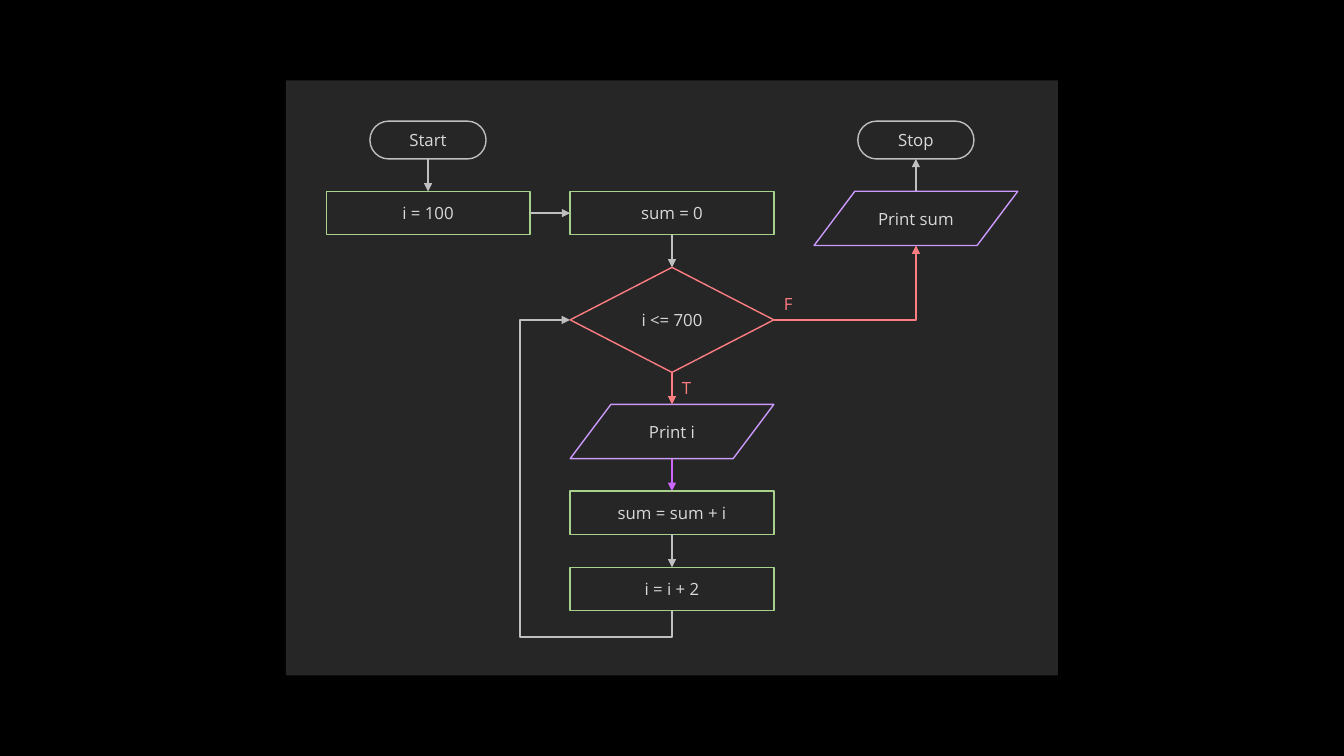
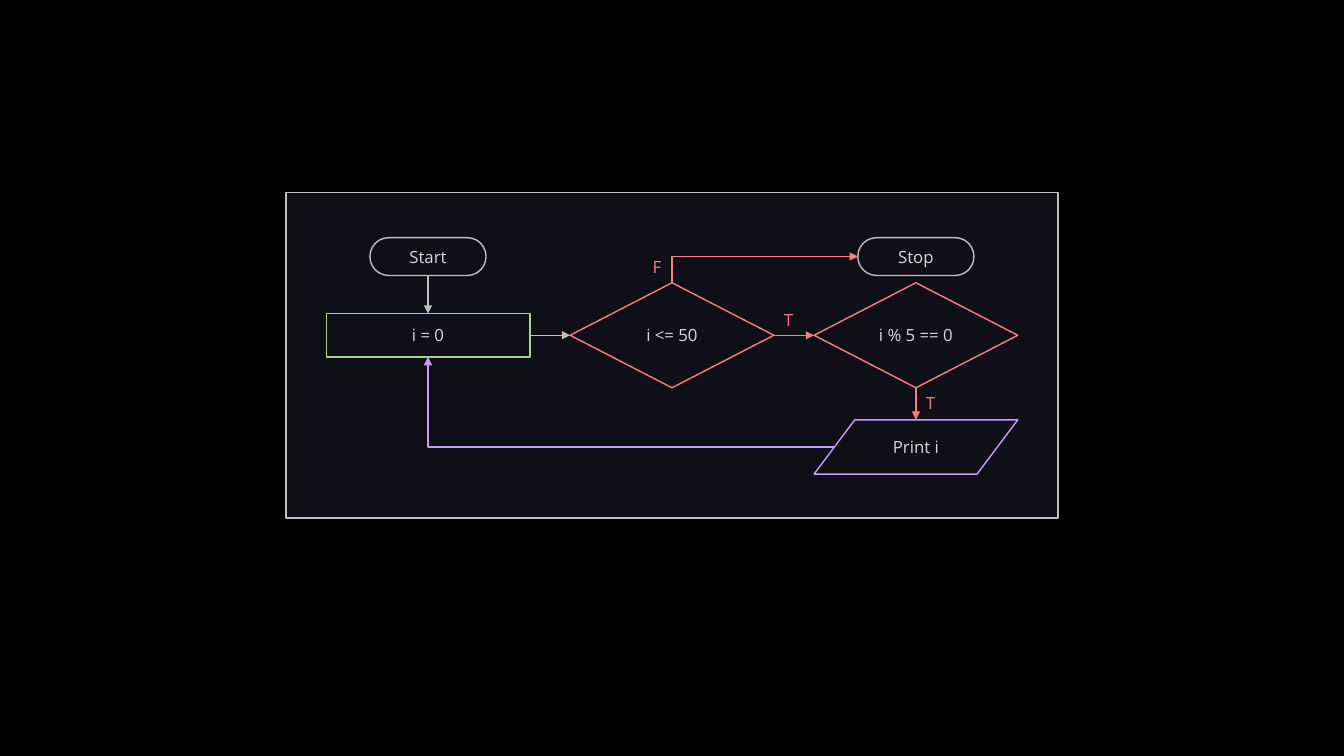
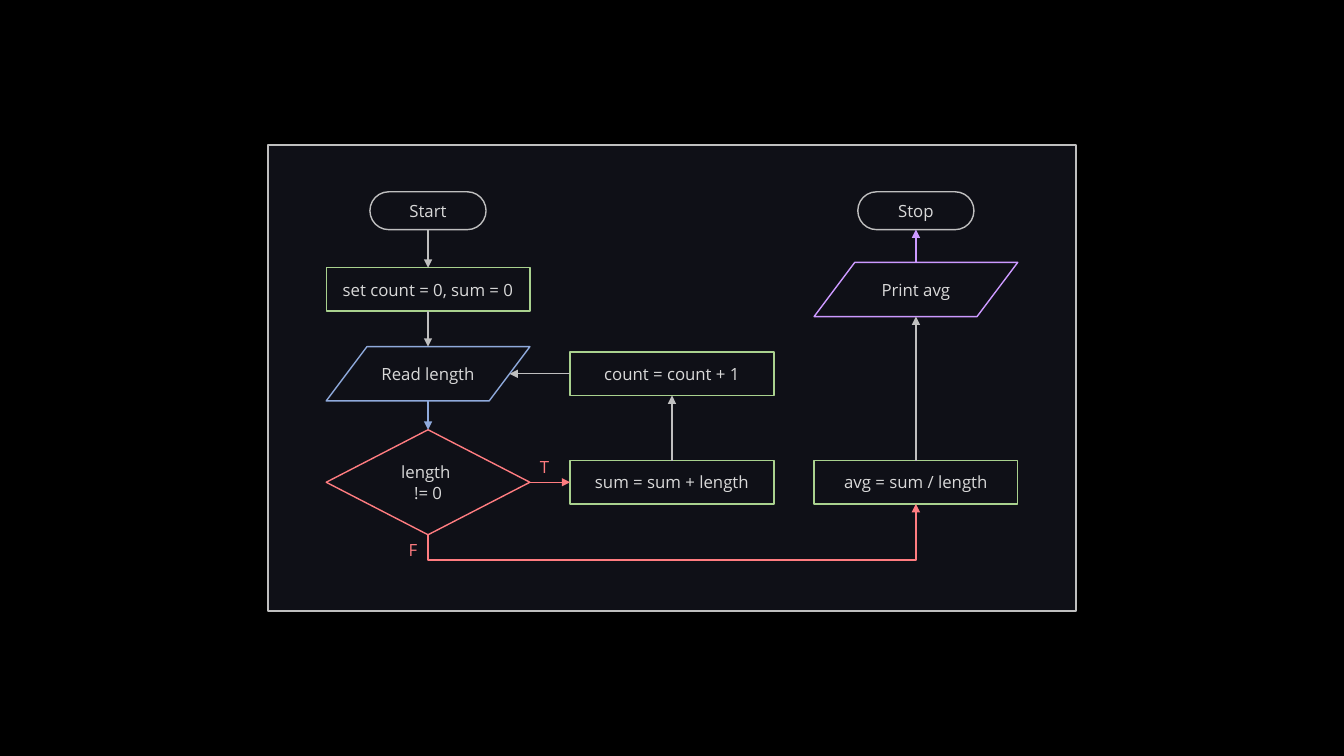
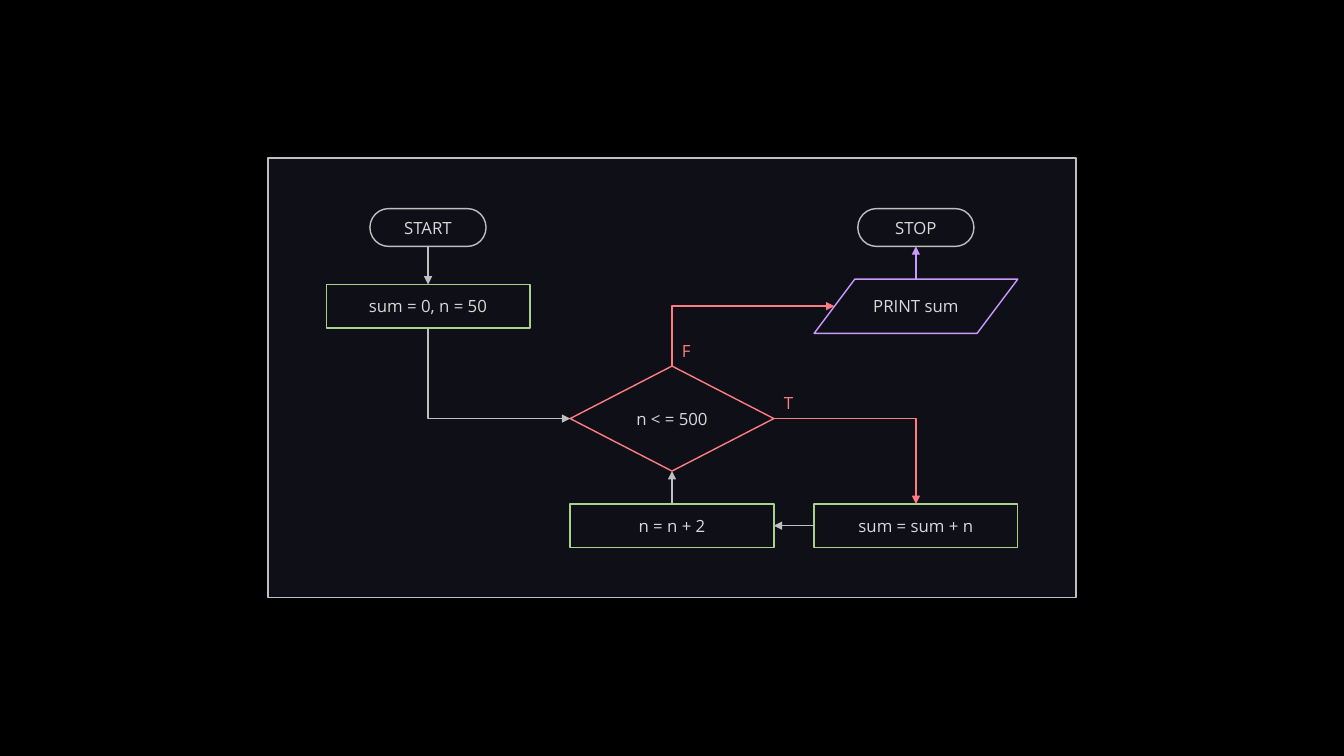
"""Four dark flowcharts drawn from nodes and the links between them."""
from dataclasses import dataclass, field
from enum import Enum

from lxml import etree
from pptx import Presentation
from pptx import util as u
from pptx.dml.color import RGBColor
from pptx.enum import shapes, text
from pptx.oxml.ns import qn

COLOURS = {
    "black": "000000", "charcoal": "262626", "navy": "0F1017",
    "grey": "BFBFBF", "pale": "D9D9D9", "green": "A9D18E", "red": "FF7C80",
    "lilac": "CC99FF", "violet": "CC66FF", "blue": "8FAADC",
}
FONT = "Open Sans"
SLIDE_WIDTH, SLIDE_HEIGHT = 960, 540
PITCH = 174.25
COLUMNS = [SLIDE_WIDTH / 2 + step * PITCH for step in (-1, 0, 1)]
LABEL_WIDTH, LABEL_HEIGHT = 21, 22


class Side(Enum):
    """Sides of a node, as directions from its centre."""
    TOP = (0, -1)
    LEFT = (-1, 0)
    BOTTOM = (0, 1)
    RIGHT = (1, 0)


TOP, LEFT, BOTTOM, RIGHT = Side


@dataclass(frozen=True)
class Kind:
    """Outline, size and connection sites (top, left, bottom, right) of a node."""
    preset: shapes.MSO_SHAPE
    width: float
    height: float
    colour: str
    slant: float = 0
    sites: tuple[int, ...] = (0, 1, 2, 3)


TERMINAL = Kind(shapes.MSO_SHAPE.FLOWCHART_TERMINATOR, 83, 27, "grey")
PROCESS = Kind(shapes.MSO_SHAPE.RECTANGLE, 145.5, 31, "green")
DECISION = Kind(shapes.MSO_SHAPE.FLOWCHART_DECISION, 145.5, 75, "red")
OUTPUT = Kind(shapes.MSO_SHAPE.FLOWCHART_DATA, 145.5, 38.75, "lilac", 0.1, (1, 2, 4, 5))
INPUT = Kind(shapes.MSO_SHAPE.FLOWCHART_DATA, 145.5, 38.75, "blue", 0.1, (1, 2, 4, 5))


@dataclass(frozen=True)
class Node:
    """A step of the flowchart, centred in a column at a height."""
    kind: Kind
    words: str
    column: int
    middle: float

    def anchor(self, side: Side) -> tuple[float, float]:
        """Return the point where links meet the given side."""
        across, down = side.value
        reach = self.kind.width * (0.5 - self.kind.slant)
        return (COLUMNS[self.column] + across * reach,
                self.middle + down * self.kind.height / 2)


@dataclass(frozen=True)
class Link:
    """An arrow between two named nodes, with an optional branch label."""
    source: str
    leave: Side
    target: str
    enter: Side
    colour: str = "grey"
    bends: tuple[float, ...] = ()
    label: str = ""
    label_before: bool = False


@dataclass(frozen=True)
class Chart:
    """One slide: its panel, nodes and links."""
    width: float
    top: float
    height: float
    nodes: dict[str, Node]
    links: list[Link] = field(default_factory=list)
    fill: str = "navy"
    border: str | None = "grey"


CHARTS = [
    Chart(551.5, 57.5, 425, {
        "start": Node(TERMINAL, "Start", 0, 100),
        "stop": Node(TERMINAL, "Stop", 2, 100),
        "first": Node(PROCESS, "i = 100", 0, 152.25),
        "zero": Node(PROCESS, "sum = 0", 1, 152.25),
        "test": Node(DECISION, "i <= 700", 1, 228.5),
        "print sum": Node(OUTPUT, "Print sum", 2, 156),
        "print i": Node(OUTPUT, "Print i", 1, 308.25),
        "add": Node(PROCESS, "sum = sum + i", 1, 366.25),
        "next": Node(PROCESS, "i = i + 2", 1, 420.75),
    }, [
        Link("start", BOTTOM, "first", TOP),
        Link("first", RIGHT, "zero", LEFT),
        Link("zero", BOTTOM, "test", TOP),
        Link("test", BOTTOM, "print i", TOP, "red", label="T"),
        Link("print i", BOTTOM, "add", TOP, "violet"),
        Link("add", BOTTOM, "next", TOP),
        Link("next", BOTTOM, "test", LEFT, bends=(-0.09, 1.49)),
        Link("test", RIGHT, "print sum", BOTTOM, "red", label="F"),
        Link("print sum", TOP, "stop", BOTTOM),
    ], fill="charcoal", border=None),
    Chart(551.5, 137.5, 232.5, {
        "start": Node(TERMINAL, "Start", 0, 183.25),
        "stop": Node(TERMINAL, "Stop", 2, 183.25),
        "first": Node(PROCESS, "i = 0", 0, 239.5),
        "limit": Node(DECISION, "i <= 50", 1, 239.5),
        "fives": Node(DECISION, "i % 5 == 0", 2, 239.5),
        "print": Node(OUTPUT, "Print i", 2, 319.25),
    }, [
        Link("start", BOTTOM, "first", TOP),
        Link("first", RIGHT, "limit", LEFT),
        Link("limit", RIGHT, "fives", LEFT, "red", label="T"),
        Link("limit", TOP, "stop", LEFT, "red", label="F", label_before=True),
        Link("fives", BOTTOM, "print", TOP, "red", label="T"),
        Link("print", LEFT, "first", BOTTOM, "lilac"),
    ]),
    Chart(577, 103.5, 333, {
        "start": Node(TERMINAL, "Start", 0, 150.5),
        "stop": Node(TERMINAL, "Stop", 2, 150.5),
        "set": Node(PROCESS, "set count = 0, sum = 0", 0, 206.75),
        "read": Node(INPUT, "Read length", 0, 267),
        "test": Node(DECISION, "length \n!= 0", 0, 344.5),
        "add": Node(PROCESS, "sum = sum + length", 1, 344.5),
        "count": Node(PROCESS, "count = count + 1", 1, 267),
        "average": Node(PROCESS, "avg = sum / length", 2, 344.5),
        "print": Node(OUTPUT, "Print avg", 2, 206.75),
    }, [
        Link("start", BOTTOM, "set", TOP),
        Link("set", BOTTOM, "read", TOP),
        Link("read", BOTTOM, "test", TOP, "blue"),
        Link("test", RIGHT, "add", LEFT, "red", label="T"),
        Link("add", TOP, "count", BOTTOM),
        Link("count", LEFT, "read", RIGHT),
        Link("test", BOTTOM, "average", BOTTOM, "red", (-0.82,), "F", True),
        Link("average", TOP, "print", BOTTOM),
        Link("print", TOP, "stop", BOTTOM, "lilac"),
    ]),
    Chart(577, 113, 314, {
        "start": Node(TERMINAL, "START", 0, 162.5),
        "stop": Node(TERMINAL, "STOP", 2, 162.5),
        "set": Node(PROCESS, "sum = 0, n = 50", 0, 218.75),
        "test": Node(DECISION, "n < = 500", 1, 299),
        "print": Node(OUTPUT, "PRINT sum", 2, 218.75),
        "add": Node(PROCESS, "sum = sum + n", 2, 375.5),
        "next": Node(PROCESS, "n = n + 2", 1, 375.5),
    }, [
        Link("start", BOTTOM, "set", TOP),
        Link("set", BOTTOM, "test", LEFT),
        Link("test", TOP, "print", LEFT, "red", label="F"),
        Link("test", RIGHT, "add", TOP, "red", label="T"),
        Link("add", LEFT, "next", RIGHT),
        Link("next", TOP, "test", BOTTOM),
        Link("print", TOP, "stop", BOTTOM, "lilac"),
    ]),
]


def rgb(name: str) -> RGBColor:
    """Look up a named colour."""
    return RGBColor.from_string(COLOURS[name])


def write(frame, words: str, *, colour: str = "pale", size: float = 12,
          align=text.PP_ALIGN.CENTER, anchor=text.MSO_ANCHOR.MIDDLE,
          wrap: bool = True) -> None:
    """Fill a text frame, one paragraph a line, in one format."""
    frame.word_wrap = wrap
    frame.vertical_anchor = anchor
    frame.text = words
    for para in frame.paragraphs:
        para.alignment = align
        for span in para.runs:
            span.font.name = FONT
            span.font.size = u.Pt(size)
            span.font.color.rgb = rgb(colour)


def add_box(page, preset, left: float, top: float, width: float, height: float,
            fill: str | None = None, border: str | None = None):
    """Add a flat preset shape with an optional fill and outline."""
    box = page.shapes.add_shape(preset, u.Pt(left), u.Pt(top), u.Pt(width), u.Pt(height))
    box.shadow.inherit = False
    if fill:
        box.fill.solid()
        box.fill.fore_color.rgb = rgb(fill)
    else:
        box.fill.background()
    if border:
        box.line.color.rgb = rgb(border)
        box.line.width = u.Pt(1)
    else:
        box.line.fill.background()
    return box


def add_node(page, node: Node):
    """Draw one step with its words."""
    kind = node.kind
    box = add_box(page, kind.preset, COLUMNS[node.column] - kind.width / 2,
                  node.middle - kind.height / 2, kind.width, kind.height,
                  border=kind.colour)
    write(box.text_frame, node.words)
    return box


def add_label(page, link: Link, start: tuple[float, float]) -> None:
    """Write the branch label beside the start of a link."""
    left = start[0] - (LABEL_WIDTH if link.label_before else 0)
    top = start[1] - (0 if link.leave is BOTTOM else LABEL_HEIGHT)
    box = page.shapes.add_textbox(u.Pt(left), u.Pt(top), u.Pt(LABEL_WIDTH), u.Pt(LABEL_HEIGHT))
    write(box.text_frame, link.label, colour="red", align=text.PP_ALIGN.LEFT,
          anchor=text.MSO_ANCHOR.TOP, wrap=False)


def add_link(page, link: Link, nodes: dict[str, Node], boxes: dict) -> None:
    """Draw a glued arrow, straight or bent, and its label."""
    start = nodes[link.source].anchor(link.leave)
    end = nodes[link.target].anchor(link.enter)
    across, down = end[0] - start[0], end[1] - start[1]
    straight = min(abs(across), abs(down)) < 0.01
    upright = not straight and link.leave in (TOP, BOTTOM)
    begin_at, end_at = start, end
    if upright:
        # A bent connector leaves sideways, so lay it flat and turn it by 90 degrees.
        centre = (start[0] + end[0]) / 2, (start[1] + end[1]) / 2
        begin_at = centre[0] - down / 2, centre[1] + across / 2
        end_at = centre[0] + down / 2, centre[1] - across / 2
    types = shapes.MSO_CONNECTOR
    arrow = page.shapes.add_connector(types.STRAIGHT if straight else types.ELBOW,
                                      *(u.Pt(value) for value in begin_at + end_at))
    arrow.line.color.rgb = rgb(link.colour)
    arrow.line.width = u.Pt(1)
    properties = arrow.element.spPr
    etree.SubElement(properties.find(qn("a:ln")), qn("a:tailEnd"), type="triangle")
    etree.SubElement(properties, qn("a:effectLst"))
    if upright:
        properties.find(qn("a:xfrm")).set("rot", "5400000")
    if not straight:
        geometry = properties.find(qn("a:prstGeom"))
        geometry.set("prst", f"bentConnector{len(link.bends) + 2}")
        for number, bend in enumerate(link.bends, 1):
            etree.SubElement(geometry.find(qn("a:avLst")), qn("a:gd"),
                             name=f"adj{number}", fmla=f"val {round(bend * 100000)}")
    glue = next(arrow.element.iter(qn("p:cNvCxnSpPr")))
    for tag, name, side in (("a:stCxn", link.source, link.leave),
                            ("a:endCxn", link.target, link.enter)):
        site = nodes[name].kind.sites[list(Side).index(side)]
        etree.SubElement(glue, qn(tag), id=str(boxes[name].shape_id), idx=str(site))
    if link.label:
        add_label(page, link, start)


def add_chart_page(deck, chart: Chart) -> None:
    """Add one slide with its panel, nodes and links."""
    page = deck.slides.add_slide(deck.slide_layouts[6])
    add_box(page, shapes.MSO_SHAPE.RECTANGLE, (SLIDE_WIDTH - chart.width) / 2, chart.top,
            chart.width, chart.height, chart.fill, chart.border)
    boxes = {name: add_node(page, node) for name, node in chart.nodes.items()}
    for link in chart.links:
        add_link(page, link, chart.nodes, boxes)


def main() -> None:
    """Build and save the deck."""
    deck = Presentation()
    deck.slide_width, deck.slide_height = u.Pt(SLIDE_WIDTH), u.Pt(SLIDE_HEIGHT)
    backdrop = deck.slide_master.background.fill
    backdrop.solid()
    backdrop.fore_color.rgb = rgb("black")
    for chart in CHARTS:
        add_chart_page(deck, chart)
    deck.save("out.pptx")


main()
